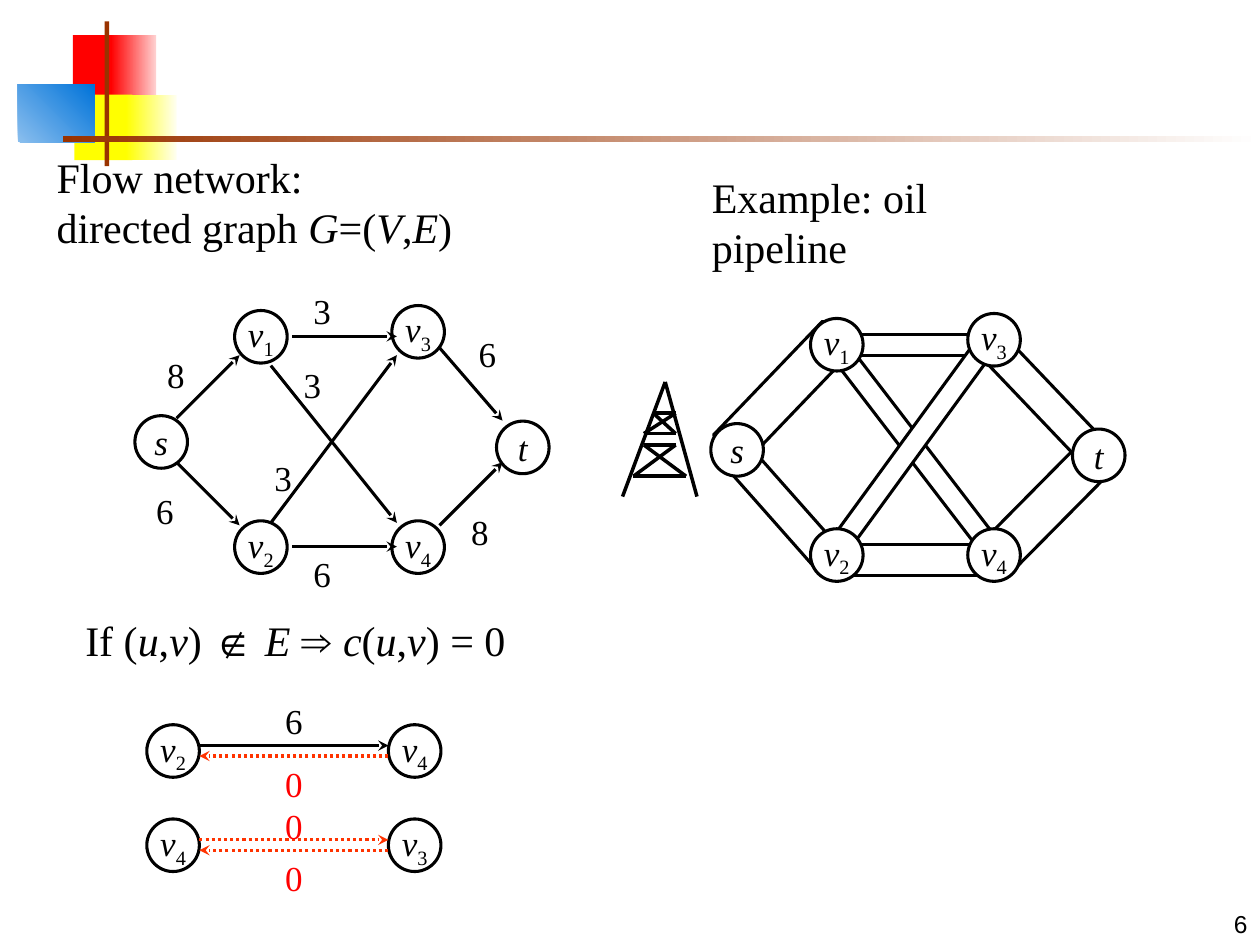
from lxml import etree
from pptx import Presentation
from pptx.dml.color import RGBColor
from pptx.enum.dml import MSO_LINE
from pptx.enum.shapes import MSO_CONNECTOR, MSO_SHAPE
from pptx.enum.text import MSO_ANCHOR, PP_ALIGN
from pptx.oxml.ns import qn
from pptx.util import Cm, Pt

STRAIGHT = MSO_CONNECTOR.STRAIGHT
RECTANGLE, OVAL = MSO_SHAPE.RECTANGLE, MSO_SHAPE.OVAL
DOTTED = MSO_LINE.ROUND_DOT
TOP, MIDDLE, BOTTOM = MSO_ANCHOR.TOP, MSO_ANCHOR.MIDDLE, MSO_ANCHOR.BOTTOM
LEFT, CENTER, RIGHT = PP_ALIGN.LEFT, PP_ALIGN.CENTER, PP_ALIGN.RIGHT

COLORS = {
    "black": "000000", "white": "FFFFFF", "red": "FF0000", "pink": "FFD1D1",
    "yellow": "FFFF00", "cream": "FFFFF0", "sky": "8BBFEE", "blue": "0073D9",
    "brown": "993300", "orange": "FF3300",
}
SERIF, SANS = "Times New Roman", "Arial"

DECORATION = [
    ((1.47, 0.71, 0.89, 1.32), ("red",), 0),
    ((2.24, 0.71, 0.91, 1.32), ("red", "pink"), 0),
    ((1.5, 1.91, 1.17, 1.32), ("yellow",), 0),
    ((2.54, 1.91, 1.02, 1.32), ("yellow", "cream"), 0),
    ((0.36, 1.7, 1.55, 1.17), ("sky", "blue"), 45),
    ((2.11, 0.43, 0.09, 2.92), ("brown",), 0),
    ((1.27, 2.74, 24.13, 0.13), ("brown", "white"), 0),
]

DEFINITION = [
    [("Flow network:", "plain")],
    [("directed graph ", "plain"), ("G", "variable"), ("=(", "plain"),
     ("V", "variable"), (",", "plain"), ("E", "variable"), (")", "plain")],
]
EXAMPLE = [[("Example: oil pipeline", "plain")]]
CAPACITY_RULE = [[
    ("If (", "plain"), ("u", "variable"), (",", "plain"), ("v", "variable"),
    (") ", "plain"), ("∉", "symbol"), (" E ", "variable"), ("⇒ ", "symbol"),
    ("c", "variable"), ("(", "plain"), ("u", "variable"), (",", "plain"),
    ("v", "variable"), (") = 0", "plain"),
]]

NODE_SIZE = 1.06
NODE_OFFSETS = {
    "s": (0, 0), "t": (7.29, 0.11), "v1": (2.01, -2.12),
    "v2": (2.01, 2.12), "v3": (5.18, -2.22), "v4": (5.18, 2.12),
}
GRAPH_ORIGIN = (2.72, 8.38)
PIPELINE_ORIGIN = (14.33, 8.54)

EDGES = [
    ("8", (3.56, 8.43), (4.83, 7.16), (3.12, 7.01)),
    ("3", (5.89, 6.78), (8, 6.78), (6.07, 5.72)),
    ("6", (5.89, 11.02), (8, 11.02), (6.07, 11.02)),
    ("8", (8.86, 10.59), (10.13, 9.32), (9.25, 10.16)),
    ("6", (8.86, 7.01), (10.13, 8.48), (9.4, 6.58)),
    ("6", (3.56, 9.32), (4.83, 10.59), (2.9, 9.75)),
    ("3", (5.46, 7.37), (8, 10.54), (5.87, 7.21)),
    ("3", (5.46, 10.54), (8, 7.16), (5.28, 9.07)),
]

PAIR_X = (2.96, 7.83)
PAIRS = [
    ("v2", "v4", 14.61, ("6", 13.97, "black", "black", None), ("0", 15.24)),
    ("v4", "v3", 16.51, ("0", 16.09, "red", "orange", DOTTED), ("0", 17.15)),
]

APEX = (13.41, 7.7)
TOWER = [
    ((12.55, 10.01), APEX), (APEX, (14.05, 10.01)),
    ((13.17, 8.33), (13.62, 8.74)), ((12.98, 8.74), (13.62, 8.33)),
    ((12.98, 8.97), (13.83, 9.6)), ((12.77, 9.6), (13.62, 8.97)),
    ((12.98, 8.97), (13.62, 8.97)), ((12.77, 9.6), (13.83, 9.6)),
    ((12.98, 8.74), (13.62, 8.74)), ((13.17, 8.33), (13.62, 8.33)),
]

PIPES = [
    ((14.2, 7.49, 3.18, 0.85), 313.8),
    ((19.6, 9.7, 3.18, 0.85), 314.7),
    ((17.07, 6.75, 2.96, 0.42), 0),
    ((19.71, 7.9, 2.96, 0.64), 46.4),
    ((17.07, 10.97, 2.96, 0.64), 0),
    ((14.2, 9.8, 2.96, 0.64), 48.5),
    ((15.6, 8.86, 5.72, 0.42), 52.5),
    ((15.47, 8.86, 5.72, 0.42), 306.1),
]


def rgb(color):
    return RGBColor.from_string(COLORS[color])


def write(shape, paragraphs, size=24, color="black", font=SERIF, align=LEFT,
          anchor=TOP, wrap=False):
    frame = shape.text_frame
    frame.word_wrap = wrap
    frame.vertical_anchor = anchor
    for index, runs in enumerate(paragraphs):
        paragraph = frame.add_paragraph() if index else frame.paragraphs[0]
        paragraph.alignment = align
        for text, style in runs:
            run = paragraph.add_run()
            run.text = text
            run.font.size = Pt(size)
            run.font.name = SANS if style == "symbol" else font
            run.font.italic = style == "variable"
            run.font.color.rgb = rgb(color)
            if style == "subscript":
                run._r.get_or_add_rPr().set("baseline", "-25000")


def add_text(box, paragraphs, **style):
    write(slide.shapes.add_textbox(*map(Cm, box)), paragraphs, **style)


def add_capacity(value, x, y, color="black"):
    add_text((x, y, 0.86, 1.12), [[(value, "plain")]], size=20, color=color)


def add_block(kind, box, fills, angle=0, outline=None):
    block = slide.shapes.add_shape(kind, *map(Cm, box))
    block.shadow.inherit = False
    if len(fills) == 1:
        block.fill.solid()
        block.fill.fore_color.rgb = rgb(fills[0])
    else:
        block.fill.gradient()
        block.fill.gradient_angle = angle
        for stop, color, position in zip(block.fill.gradient_stops, fills, (0, 1)):
            stop.color.rgb = rgb(color)
            stop.position = position
    if outline:
        block.line.color.rgb = rgb(outline)
        block.line.width = Pt(1.75)
    else:
        block.line.fill.background()
    return block


def add_node(name, x, y):
    node = add_block(OVAL, (x, y, NODE_SIZE, NODE_SIZE), ("white",), outline="black")
    label = [(name[0], "variable")]
    if name[1:]:
        label.append((name[1:], "subscript"))
    write(node, [label], size=20, align=CENTER, anchor=MIDDLE)


def add_nodes(origin):
    for name, (dx, dy) in NODE_OFFSETS.items():
        add_node(name, origin[0] + dx, origin[1] + dy)


def add_line(start, end, color="black", width=1.75, dash=None, arrow=True):
    line = slide.shapes.add_connector(STRAIGHT, *map(Cm, (*start, *end)))
    line.line.color.rgb = rgb(color)
    line.line.width = Pt(width)
    if dash:
        line.line.dash_style = dash
    if arrow:
        etree.SubElement(line.line._get_or_add_ln(), qn("a:tailEnd"), type="stealth")
    etree.SubElement(line._element.spPr, qn("a:effectLst"))


presentation = Presentation()
presentation.slide_width, presentation.slide_height = Cm(25.4), Cm(19.05)
slide = presentation.slides.add_slide(presentation.slide_layouts[6])

for box, fills, angle in DECORATION:
    add_block(RECTANGLE, box, fills, angle)

add_text((20.12, 17.78, 5.28, 1.27), [[("6", "plain")]], size=14, font=SANS,
         align=RIGHT, anchor=BOTTOM, wrap=True)
add_text((0.89, 2.92, 8.69, 2.29), DEFINITION)
add_text((14.1, 3.33, 7.7, 2.29), EXAMPLE, wrap=True)
add_text((1.47, 12.27, 9.22, 1.27), CAPACITY_RULE, wrap=True)

for first, second, top, forward, backward in PAIRS:
    for name, x in zip((first, second), PAIR_X):
        add_node(name, x, top)
    value, label_y, label_color, line_color, dash = forward
    start_x, end_x = PAIR_X[0] + NODE_SIZE, PAIR_X[1]
    add_line((start_x, top + 0.42), (end_x, top + 0.42), line_color, dash=dash)
    add_line((end_x, top + 0.63), (start_x, top + 0.63), "orange", dash=DOTTED)
    add_capacity(value, 5.5, label_y, label_color)
    add_capacity(*backward[:1], 5.5, backward[1], "red")

for start, end in TOWER:
    add_line(start, end, width=2, arrow=False)

add_nodes(GRAPH_ORIGIN)
for value, start, end, label_at in EDGES:
    add_line(start, end)
    add_capacity(value, *label_at)

for box, rotation in PIPES:
    add_block(RECTANGLE, box, ("white",), outline="black").rotation = rotation
add_nodes(PIPELINE_ORIGIN)

presentation.save("out.pptx")
